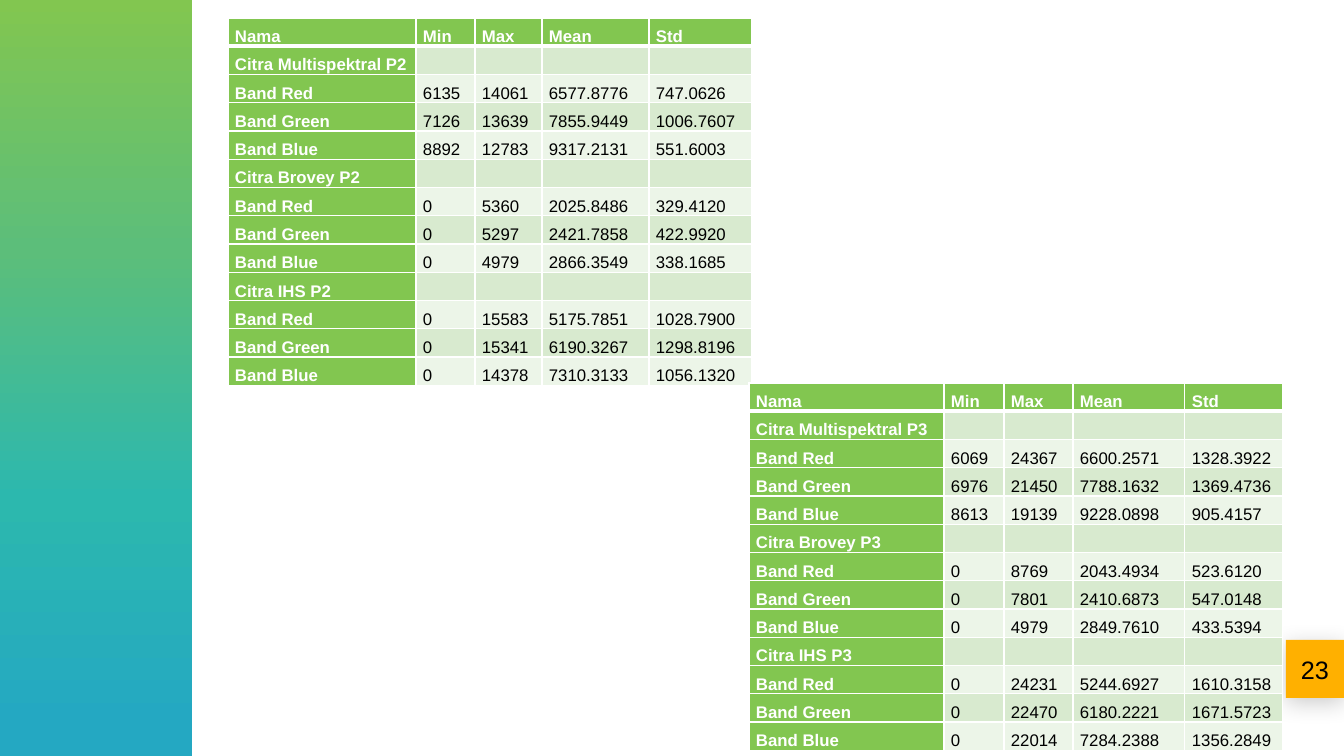
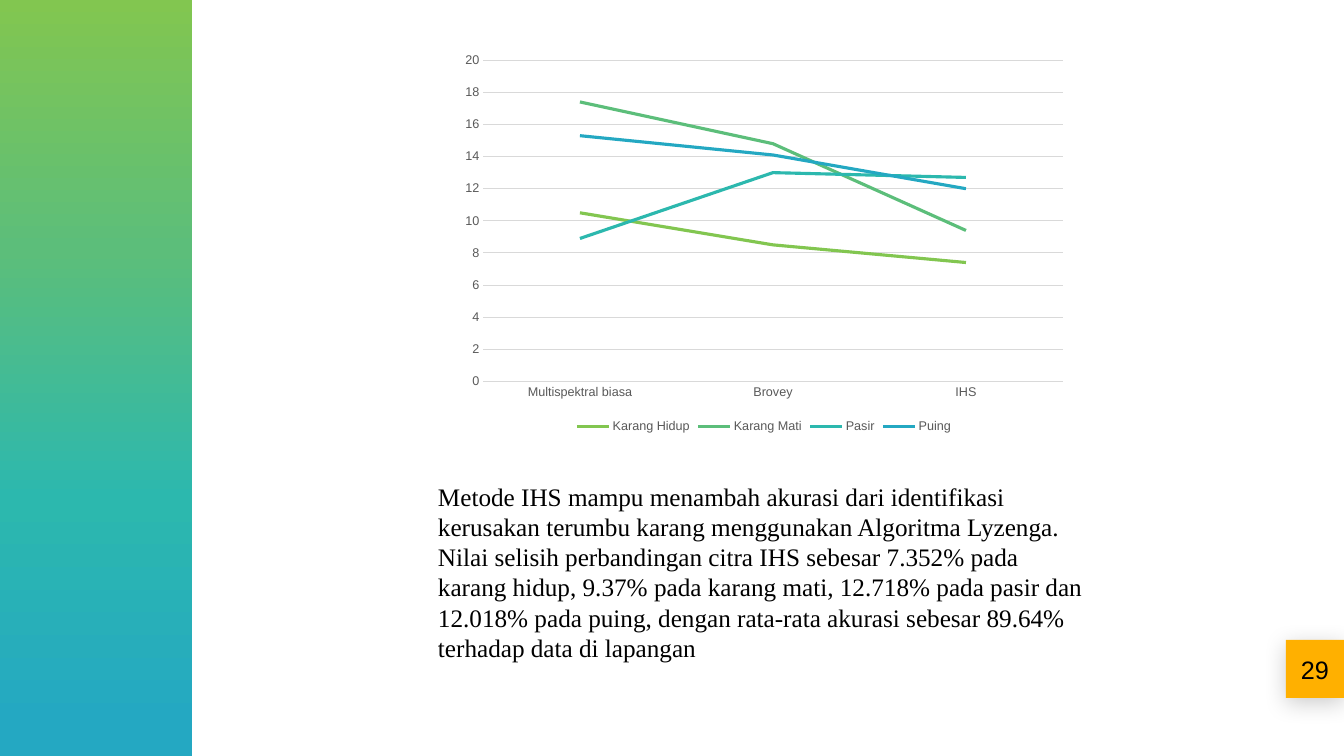
from dataclasses import dataclass
from itertools import chain

from lxml.etree import SubElement
from pptx import Presentation
from pptx.chart.data import CategoryChartData
from pptx.dml.color import RGBColor as RGB
from pptx.enum.chart import XL_CHART_TYPE as CHART, XL_LEGEND_POSITION as LEGEND
from pptx.enum.chart import XL_TICK_MARK as TICK
from pptx.enum.shapes import MSO_SHAPE as SHAPE
from pptx.enum.text import MSO_ANCHOR as ANCHOR, MSO_AUTO_SIZE as AUTO, PP_ALIGN as ALIGN
from pptx.oxml.ns import qn
from pptx.util import Pt

SLIDE_W, SLIDE_H = 1344, 756
EMU_PER_PX = 12192000 / SLIDE_W


@dataclass(frozen=True)
class Theme:
    white: str = "FFFFFF"
    black: str = "000000"
    grey: str = "595959"
    grid: str = "D9D9D9"
    amber: str = "FFB000"
    green: str = "82C650"
    band_dark: str = "D8EACF"
    band_light: str = "ECF5E8"
    series: tuple = ("82C650", "5CBE7A", "2CB8AE", "24A8C2")
    stops: tuple = (0, 33, 66, 96)
    sans: str = "Arial"
    serif: str = "Times New Roman"
    body: int = 18
    cell: int = 12
    chart: int = 10
    label: int = 9


T = Theme()

HEADINGS = ("Nama", "Min", "Max", "Mean", "Std")
METHODS = ("Multispektral", "Brovey", "IHS")
BANDS = ("Red", "Green", "Blue")

STATS_P2 = (
    ("6135", "14061", "6577.8776", "747.0626"),
    ("7126", "13639", "7855.9449", "1006.7607"),
    ("8892", "12783", "9317.2131", "551.6003"),
    ("0", "5360", "2025.8486", "329.4120"),
    ("0", "5297", "2421.7858", "422.9920"),
    ("0", "4979", "2866.3549", "338.1685"),
    ("0", "15583", "5175.7851", "1028.7900"),
    ("0", "15341", "6190.3267", "1298.8196"),
    ("0", "14378", "7310.3133", "1056.1320"),
)
STATS_P3 = (
    ("6069", "24367", "6600.2571", "1328.3922"),
    ("6976", "21450", "7788.1632", "1369.4736"),
    ("8613", "19139", "9228.0898", "905.4157"),
    ("0", "8769", "2043.4934", "523.6120"),
    ("0", "7801", "2410.6873", "547.0148"),
    ("0", "4979", "2849.7610", "433.5394"),
    ("0", "24231", "5244.6927", "1610.3158"),
    ("0", "22470", "6180.2221", "1671.5723"),
    ("0", "22014", "7284.2388", "1356.2849"),
)

CATEGORIES = ("Multispektral biasa", "Brovey", "IHS")
DIFFERENCES = {
    "Karang Hidup": (10.5, 8.5, 7.4),
    "Karang Mati": (17.4, 14.8, 9.4),
    "Pasir": (8.9, 13, 12.7),
    "Puing": (15.3, 14.1, 12),
}
CONCLUSION = (
    "Metode IHS mampu menambah akurasi dari identifikasi kerusakan terumbu karang "
    "menggunakan Algoritma Lyzenga. Nilai selisih perbandingan citra IHS sebesar "
    "7.352% pada karang hidup, 9.37% pada karang mati, 12.718% pada pasir dan "
    "12.018% pada puing, dengan rata-rata akurasi sebesar 89.64% terhadap data di "
    "lapangan"
)


def px(n):
    return round(n * EMU_PER_PX)


def box_emu(box):
    return [px(n) for n in box]


def apply(obj, **values):
    for name, value in values.items():
        setattr(obj, name, value)


def set_font(font, size, color, name=T.sans, bold=False):
    apply(font, size=Pt(size), name=name, bold=bold)
    font.color.rgb = RGB.from_string(color)


def set_line(line, color, width):
    line.color.rgb = RGB.from_string(color)
    line.width = Pt(width)


def set_margins(target, x, y):
    apply(target, margin_left=px(x), margin_right=px(x),
          margin_top=px(y), margin_bottom=px(y))


def add_color(parent, color):
    return SubElement(parent, qn("a:srgbClr"), val=color)


def add_rect(s, box, color):
    sp = s.shapes.add_shape(SHAPE.RECTANGLE, *box_emu(box))
    sp.shadow.inherit = False
    sp.fill.solid()
    sp.fill.fore_color.rgb = RGB.from_string(color)
    sp.line.fill.background()
    return sp


def add_shadow(sp, alpha, blur, dist, angle):
    """Blur and distance are in points, alpha in percent."""
    effects = sp._element.spPr.find(qn("a:effectLst"))
    shadow = SubElement(effects, qn("a:outerShdw"), blurRad=str(Pt(blur)),
                        dist=str(Pt(dist)), dir=str(angle * 60000),
                        algn="ctr", rotWithShape="0")
    SubElement(add_color(shadow, T.black), qn("a:alpha"), val=str(alpha * 1000))


def add_sidebar(s, box):
    sp = add_rect(s, box, T.green)
    sp.fill.gradient()
    sp.fill.gradient_angle = 270
    stops = sp._element.spPr.find(".//" + qn("a:gsLst"))
    for stop in list(stops):
        stops.remove(stop)
    for pos, color in chain(zip(T.stops, T.series), [(100, T.series[-1])]):
        add_color(SubElement(stops, qn("a:gs"), pos=str(pos * 1000)), color)


def add_page_badge(s, box, number):
    sp = add_rect(s, box, T.amber)
    add_shadow(sp, 20, 16.9, 3.8, 90)
    tf = sp.text_frame
    apply(tf, vertical_anchor=ANCHOR.MIDDLE, word_wrap=True)
    set_margins(tf, 13, 13)
    p = tf.paragraphs[0]
    p.alignment = ALIGN.CENTER
    r = p.add_run()
    r.text = str(number)
    set_font(r.font, T.body, T.black)


def new_slide(prs, number):
    """Blank slide with the white panel, page badge and gradient sidebar."""
    s = prs.slides.add_slide(prs.slide_layouts[6])
    panel_x = 186
    panel = add_rect(s, (panel_x, 0, SLIDE_W - panel_x, SLIDE_H), T.white)
    add_shadow(panel, 15, 22.5, 15, 180)
    add_page_badge(s, (SLIDE_W - 58, 640, 58, 58), number)
    add_sidebar(s, (0, 0, 192, SLIDE_H))
    return s


def set_borders(cell, **widths):
    """White borders; a side without a width of its own gets 1 pt."""
    tc_pr = cell._tc.get_or_add_tcPr()
    for i, side in enumerate("LRTB"):
        ln = SubElement(tc_pr, qn("a:ln" + side), w=str(Pt(widths.get(side, 1))))
        add_color(SubElement(ln, qn("a:solidFill")), T.white)
        tc_pr.insert(i, ln)


def fill_cell(cell, text, fill, color, bold):
    cell.fill.solid()
    cell.fill.fore_color.rgb = RGB.from_string(fill)
    set_margins(cell, 7, 0)
    p = cell.text_frame.paragraphs[0]
    if text:
        p.line_spacing = 1.5
        r = p.add_run()
        r.text = text
        set_font(r.font, T.cell, color, bold=bold)
    else:
        p._p.get_or_add_endParaRPr().set("sz", str(T.cell * 100))


def stat_rows(site, stats):
    """Heading row, then for each method a group row and its band rows."""
    rows, values = [HEADINGS], iter(stats)
    for method in METHODS:
        rows.append((f"Citra {method} {site}", "", "", "", ""))
        rows += [(f"Band {band}", *next(values)) for band in BANDS]
    return rows


def add_stats_table(s, box, col_widths, rows):
    tbl = s.shapes.add_table(len(rows), len(col_widths), *box_emu(box)).table
    tbl.horz_banding = False
    for col, width in zip(tbl.columns, col_widths):
        col.width = px(width)
    for i, row in enumerate(rows):
        tbl.rows[i].height = px(box[3] // len(rows))
        band = T.band_dark if i % 2 else T.band_light
        for j, text in enumerate(row):
            head = i == 0 or j == 0
            cell = tbl.cell(i, j)
            fill_cell(cell, text, T.green if head else band,
                      T.white if head else T.black, head)
            set_borders(cell, **{0: {"B": 3}, 1: {"T": 3}}.get(i, {}))


def add_difference_chart(s, box):
    data = CategoryChartData()
    data.categories = CATEGORIES
    for name, values in DIFFERENCES.items():
        data.add_series(name, values)
    chart = s.shapes.add_chart(CHART.LINE, *box_emu(box), data).chart
    set_font(chart.font, T.chart, T.black)
    apply(chart, has_title=False, has_legend=True)
    apply(chart.legend, position=LEGEND.BOTTOM, include_in_layout=False)
    set_font(chart.legend.font, T.label, T.grey)
    for axis in (chart.category_axis, chart.value_axis):
        apply(axis, major_tick_mark=TICK.NONE, minor_tick_mark=TICK.NONE)
        set_font(axis.tick_labels.font, T.label, T.grey)
    set_line(chart.category_axis.format.line, T.grid, 0.75)
    axis = chart.value_axis
    apply(axis, minimum_scale=0, maximum_scale=20, major_unit=2,
          has_major_gridlines=True)
    axis.format.line.fill.background()
    set_line(axis.major_gridlines.format.line, T.grid, 0.75)
    chart.plots[0].vary_by_categories = False
    for series, color in zip(chart.plots[0].series, T.series):
        series.smooth = False
        set_line(series.format.line, color, 2.25)


def add_conclusion(s, box):
    tf = s.shapes.add_textbox(*box_emu(box)).text_frame
    apply(tf, word_wrap=True, auto_size=AUTO.SHAPE_TO_FIT_TEXT)
    set_margins(tf, 10, 5)
    r = tf.paragraphs[0].add_run()
    r.text = CONCLUSION
    set_font(r.font, T.body, T.black, T.serif)


def build_stats_slide(prs):
    s = new_slide(prs, 23)
    add_stats_table(s, (228, 18, 524, 364), (188, 59, 67, 107, 103),
                    stat_rows("P2", STATS_P2))
    add_stats_table(s, (749, 383, 534, 364), (195, 60, 69, 112, 98),
                    stat_rows("P3", STATS_P3))


def build_chart_slide(prs):
    s = new_slide(prs, 29)
    add_difference_chart(s, (453, 45, 622, 393))
    add_conclusion(s, (428, 476, 672, 194))


def main():
    prs = Presentation()
    apply(prs, slide_width=px(SLIDE_W), slide_height=px(SLIDE_H))
    build_stats_slide(prs)
    build_chart_slide(prs)
    prs.save("out.pptx")


if __name__ == "__main__":
    main()
